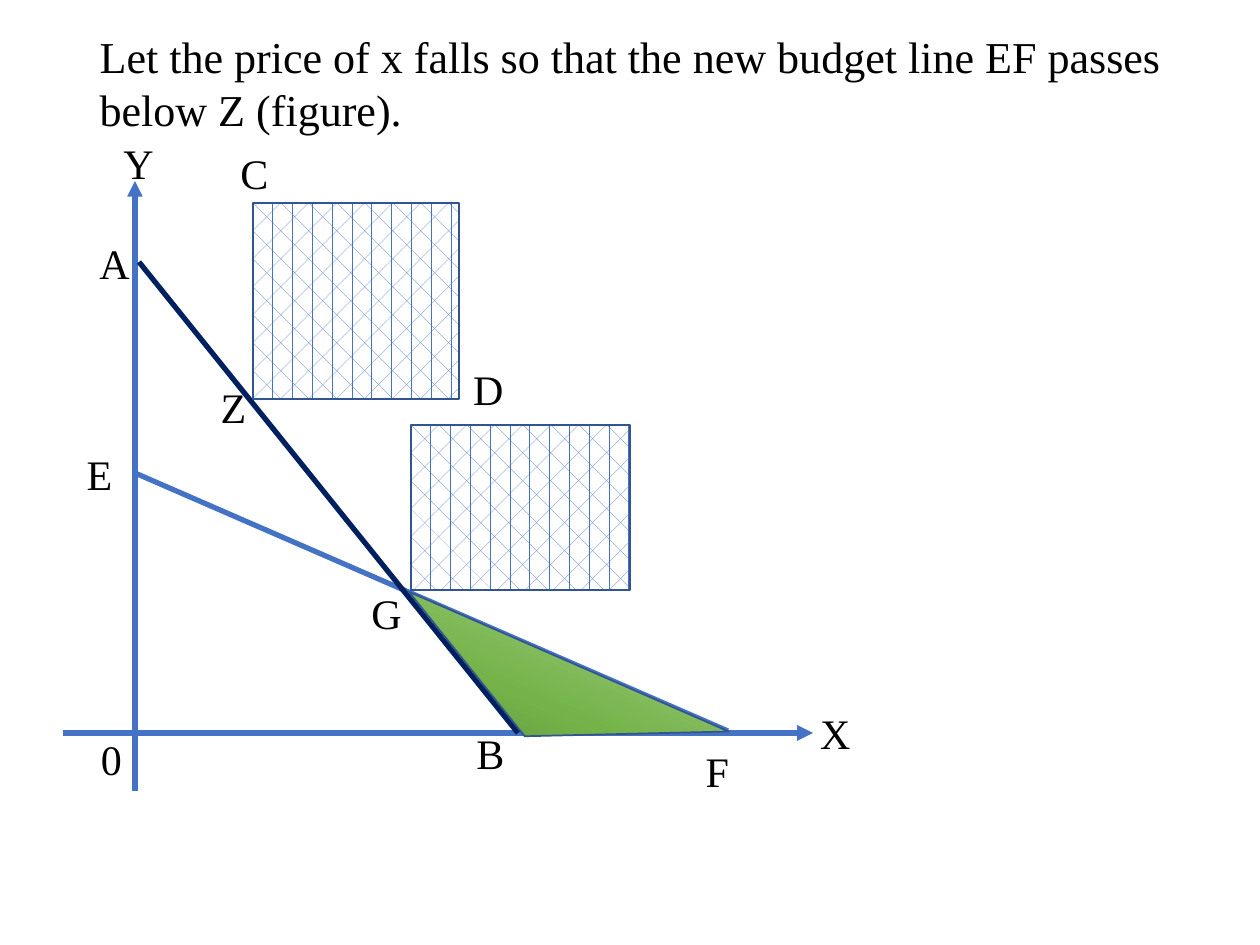
from typing import NamedTuple

from lxml.etree import SubElement
from pptx import Presentation
from pptx.dml.color import RGBColor as Rgb
from pptx.enum.dml import MSO_PATTERN as Pattern
from pptx.enum.shapes import MSO_CONNECTOR as Conn, MSO_SHAPE as Kind
from pptx.enum.text import MSO_ANCHOR as Anchor, PP_ALIGN as Align
from pptx.oxml.ns import qn
from pptx.util import Emu, Pt

SCALE = 914400 / 126


class Theme(NamedTuple):
    font: str = "Times New Roman"
    ink: str = "000000"
    paper: str = "FFFFFF"
    blue: str = "4472C4"
    navy: str = "002060"
    edge: str = "325491"
    greens: tuple = ((0, "4B7430"), (48, "74B349"), (100, "A9D18E"))
    title: float = 25.2
    label: float = 24
    thick: float = 3
    thin: float = 1


class Box(NamedTuple):
    left: int
    top: int
    width: int
    height: int


class Line(NamedTuple):
    x1: int
    y1: int
    x2: int
    y2: int
    color: str
    arrow: bool = False


class Label(NamedTuple):
    text: str
    left: int
    top: int


THEME = Theme()
TITLE = Box(87, 20, 1128, 125)
LINES = (
    Line(63, 733, 813, 733, THEME.blue, True),
    Line(135, 791, 135, 181, THEME.blue, True),
    Line(135, 473, 728, 731, THEME.blue),
    Line(139, 262, 518, 733, THEME.navy),
)
AREAS = (Box(411, 425, 219, 165), Box(253, 203, 206, 196))
GAIN = Box(377, 658, 349, 86)
LABELS = (
    Label("Y", 87, 115), Label("X", 784, 685), Label("G", 335, 565),
    Label("Z", 182, 359), Label("B", 439, 705), Label("A", 63, 215),
    Label("E", 48, 426), Label("F", 666, 723), Label("0", 60, 711),
    Label("C", 203, 125), Label("D", 437, 341),
)


def px(*sizes: int) -> list[Emu]:
    return [Emu(round(size * SCALE)) for size in sizes]


def write(frame, text: str, size: float, align: Align) -> None:
    frame.text = text
    frame.word_wrap = True
    frame.vertical_anchor = Anchor.MIDDLE
    para = frame.paragraphs[0]
    para.alignment = align
    font = para.runs[0].font
    font.name, font.size = THEME.font, Pt(size)
    font.color.rgb = Rgb.from_string(THEME.ink)


def add_title(slide, text: str) -> None:
    title = slide.shapes.title
    title.left, title.top, title.width, title.height = px(*TITLE)
    write(title.text_frame, text, THEME.title, Align.LEFT)


def add_line(slide, line: Line) -> None:
    ends = px(line.x1, line.y1, line.x2, line.y2)
    conn = slide.shapes.add_connector(Conn.STRAIGHT, *ends)
    conn.line.color.rgb = Rgb.from_string(line.color)
    conn.line.width = Pt(THEME.thick)
    props = conn._element.spPr
    if line.arrow:
        SubElement(props.find(qn("a:ln")), qn("a:tailEnd"), type="triangle")
    SubElement(props, qn("a:effectLst"))


def add_shape(slide, kind: Kind, box: Box):
    shape = slide.shapes.add_shape(kind, *px(*box))
    shape.shadow.inherit = False
    shape.line.color.rgb = Rgb.from_string(THEME.edge)
    shape.line.width = Pt(THEME.thin)
    return shape


def add_area(slide, box: Box) -> None:
    fill = add_shape(slide, Kind.RECTANGLE, box).fill
    fill.patterned()
    fill.pattern = Pattern.DIVOT
    fill.fore_color.rgb = Rgb.from_string(THEME.blue)
    fill.back_color.rgb = Rgb.from_string(THEME.paper)


def add_gain(slide, box: Box) -> None:
    """Shade the triangle of newly affordable bundles, G to B to F."""
    shape = add_shape(slide, Kind.ISOSCELES_TRIANGLE, box)
    shape.adjustments[0] = 0.53
    shape.rotation = 203.6
    shape.fill.gradient()
    shape.fill.gradient_angle = 270
    stops = shape._element.spPr.find(qn("a:gradFill")).find(qn("a:gsLst"))
    for stop in list(stops):
        stops.remove(stop)
    for share, color in THEME.greens:
        stop = SubElement(stops, qn("a:gs"), pos=str(share * 1000))
        SubElement(stop, qn("a:srgbClr"), val=color)


def add_label(slide, label: Label) -> None:
    box = Box(label.left, label.top, 103, 96)
    shape = add_shape(slide, Kind.DODECAGON, box)
    shape.fill.background()
    shape.line.fill.background()
    write(shape.text_frame, label.text, THEME.label, Align.CENTER)


def main() -> None:
    deck = Presentation()
    deck.slide_width, deck.slide_height = px(1260, 945)
    slide = deck.slides.add_slide(deck.slide_layouts[5])
    add_title(slide, "Let the price of x falls so that the new budget line "
                     "EF passes below Z (figure).")
    for line in LINES:
        add_line(slide, line)
    for area in AREAS:
        add_area(slide, area)
    for label in LABELS:
        add_label(slide, label)
    add_gain(slide, GAIN)
    deck.save("out.pptx")


if __name__ == "__main__":
    main()
